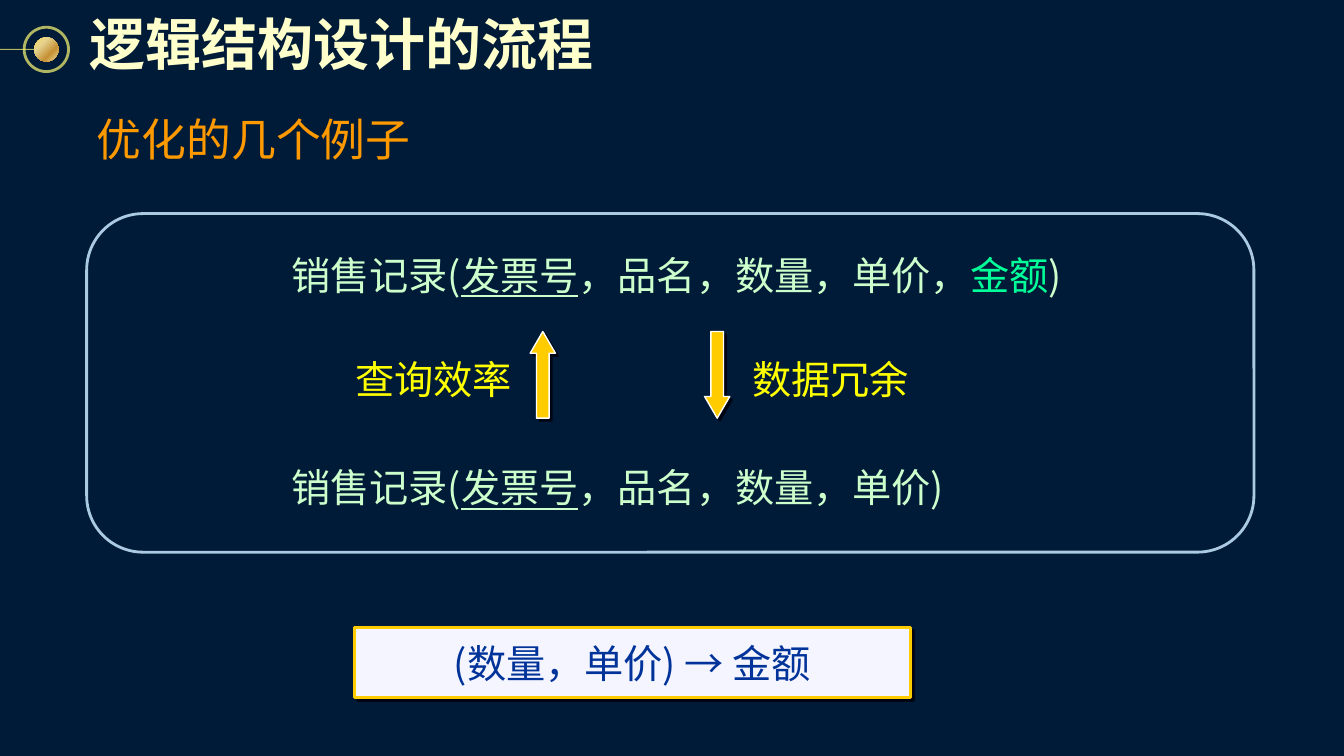
import pptx
import pptx.util
import pptx.dml.color
import pptx.enum.shapes
import pptx.enum.text
import pptx.oxml
import pptx.oxml.ns
from collections import namedtuple

SHAPE = pptx.enum.shapes.MSO_SHAPE
ALIGN = pptx.enum.text.PP_ALIGN
ANCHOR = pptx.enum.text.MSO_ANCHOR
qn = pptx.oxml.ns.qn
COLUMNS = 40
CELL = pptx.util.Inches(13.33) / COLUMNS
FONT = "Noto Sans CJK SC"
NAVY, GOLD, RING = "001B37", "FFCC00", "FCF873"
MINT, GREEN, YELLOW = "CCFFCC", "00FF99", "FFFF00"
BALL_STOPS = [(0, "FCD860"), (31, "E6D38F"), (68, "C69135"), (100, "F1DF97")]

Box = namedtuple("Box", "left top width height")


def inside(box, left, top, width, height):
    return Box(box.left + left, box.top + top, width, height)


def emu(box):
    return [round(value * CELL) for value in box]


def color(value):
    return pptx.dml.color.RGBColor.from_string(value)


def element(tag, children="", **attributes):
    pairs = "".join(f' {key}="{value}"' for key, value in attributes.items())
    namespace = pptx.oxml.ns.nsdecls("a")
    return pptx.oxml.parse_xml(f"<a:{tag} {namespace}{pairs}>{children}</a:{tag}>")


def shadow_effect():
    return element("effectLst", '<a:outerShdw dist="35560" dir="2700000" algn="ctr" rotWithShape="0">'
                   '<a:srgbClr val="000514"/></a:outerShdw>')


def set_line(line, value, weight, opacity=100):
    line.color.rgb = color(value)
    line.width = pptx.util.Pt(weight)
    if opacity < 100:
        paint = line.fill._xPr.find(".//" + qn("a:srgbClr"))
        paint.append(element("alpha", val=opacity * 1000))


def add_shape(page, kind, box, fill=None, line=None, weight=1, opacity=100, shadow=False):
    shape = page.shapes.add_shape(kind, *emu(box))
    shape.shadow.inherit = False
    if fill:
        shape.fill.solid()
        shape.fill.fore_color.rgb = color(fill)
    else:
        shape.fill.background()
    if line:
        set_line(shape.line, line, weight, opacity)
    else:
        shape.line.fill.background()
    if shadow:
        properties = shape.element.spPr
        properties.replace(properties.find(qn("a:effectLst")), shadow_effect())
    return shape


def write_text(shape, spans, size=28, font=FONT, bold=False, align=ALIGN.LEFT,
               anchor=ANCHOR.TOP, inset=0, wrap=True, shadow=False):
    frame = shape.text_frame
    frame.word_wrap = wrap
    frame.auto_size = pptx.enum.text.MSO_AUTO_SIZE.NONE
    frame.vertical_anchor = anchor
    frame.margin_left = frame.margin_right = pptx.util.Inches(inset)
    frame.margin_top = frame.margin_bottom = pptx.util.Inches(min(inset, 0.08))
    para = frame.paragraphs[0]
    para.alignment = align
    for text, value, underline in spans:
        span = para.add_run()
        span.text = text
        span.font.size = pptx.util.Pt(size)
        span.font.name = font
        span.font.bold = bold
        span.font.underline = underline
        span.font.color.rgb = color(value)
        properties = span.font._element
        properties.find(qn("a:latin")).addnext(element("ea", typeface=font))
        if shadow:
            properties.find(qn("a:solidFill")).addnext(shadow_effect())


def add_text(page, box, spans, **text_format):
    write_text(page.shapes.add_textbox(*emu(box)), spans, **text_format)


def add_ornament(page, box):
    middle = box.top + box.height / 2
    ring = add_shape(page, SHAPE.OVAL, inside(box, 0.72, 0, box.height, box.height),
                     line=RING, weight=2, opacity=70)
    ring.rotation = 270
    start, end, level = emu((box.left, box.left + 1.02, middle, 0))[:3]
    stem = page.shapes.add_connector(pptx.enum.shapes.MSO_CONNECTOR.STRAIGHT,
                                     start, level, end, level)
    set_line(stem.line, RING, 0.75, 70)
    stem.element.spPr.append(element("effectLst"))
    ball = add_shape(page, SHAPE.OVAL, inside(box, 1.02, 0.3, 0.72, 0.72))
    ball.rotation = 270
    ball.fill.gradient()
    ball.fill.gradient_angle = 225
    stops = ball.element.spPr.find(".//" + qn("a:gsLst"))
    for stop in list(stops):
        stops.remove(stop)
    for position, value in BALL_STOPS:
        stops.append(element("gs", f'<a:srgbClr val="{value}"/>', pos=position * 1000))


def add_heading(page, box):
    add_text(page, box, [("逻辑结构设计的流程", "FFFFCC", False)], size=40, font="Arial",
             bold=True, anchor=ANCHOR.MIDDLE, inset=0.08, wrap=False, shadow=True)


def add_title(page, box):
    title = page.shapes.title
    title.left, title.top, title.width, title.height = emu(box)
    write_text(title, [("优化的几个例子", "FF9900", False)], size=32,
               anchor=ANCHOR.MIDDLE, inset=0.1)


def add_comparison(page, box):
    add_shape(page, SHAPE.ROUNDED_RECTANGLE, box, line="AACAE2", weight=2)
    endings = [
        (1.11, [("，品名，数量，单价，", MINT, False), ("金额", GREEN, False), (")", MINT, False)]),
        (7.44, [("，品名，数量，单价)", MINT, False)]),
    ]
    for top, ending in endings:
        spans = [("销售记录(", MINT, False), ("发票号", MINT, True)] + ending
        add_text(page, inside(box, 6.09, top, 25.5, 2.01), spans)
    effects = [("查询效率", 7.98, 13.2, True), ("数据冗余", 19.8, 18.39, False)]
    for label, label_left, arrow_left, upward in effects:
        arrow = add_shape(page, SHAPE.DOWN_ARROW, inside(box, arrow_left, 3.51, 0.75, 2.58),
                          fill=GOLD, line="FFFFFF", shadow=True)
        arrow.adjustments[0] = 0.5
        arrow.adjustments[1] = 0.86
        if upward:
            arrow.element.spPr.find(qn("a:xfrm")).set("flipV", "1")
        add_text(page, inside(box, label_left, 4.23, 4.68, 1.41), [(label, YELLOW, False)],
                 align=ALIGN.CENTER, wrap=False)


def add_dependency(page, box):
    panel = add_shape(page, SHAPE.RECTANGLE, box, fill="F5F5FF", line=GOLD,
                      weight=2.25, shadow=True)
    write_text(panel, [("(数量，单价) → 金额", "003399", False)],
               align=ALIGN.CENTER, anchor=ANCHOR.MIDDLE)


def main():
    deck = pptx.Presentation()
    deck.slide_width = pptx.util.Inches(13.33)
    deck.slide_height = pptx.util.Inches(7.5)
    page = deck.slides.add_slide(deck.slide_layouts[5])
    page.background.fill.solid()
    page.background.fill.fore_color.rgb = color(NAVY)
    add_ornament(page, Box(0, 0.81, 2.04, 1.32))
    add_heading(page, Box(2.43, 0.03, 15.63, 2.49))
    add_title(page, Box(2.58, 3.18, 16.77, 1.92))
    add_comparison(page, Box(2.58, 6.36, 34.74, 10.08))
    add_dependency(page, Box(10.56, 18.69, 16.53, 2.07))
    deck.save("out.pptx")


if __name__ == "__main__":
    main()
